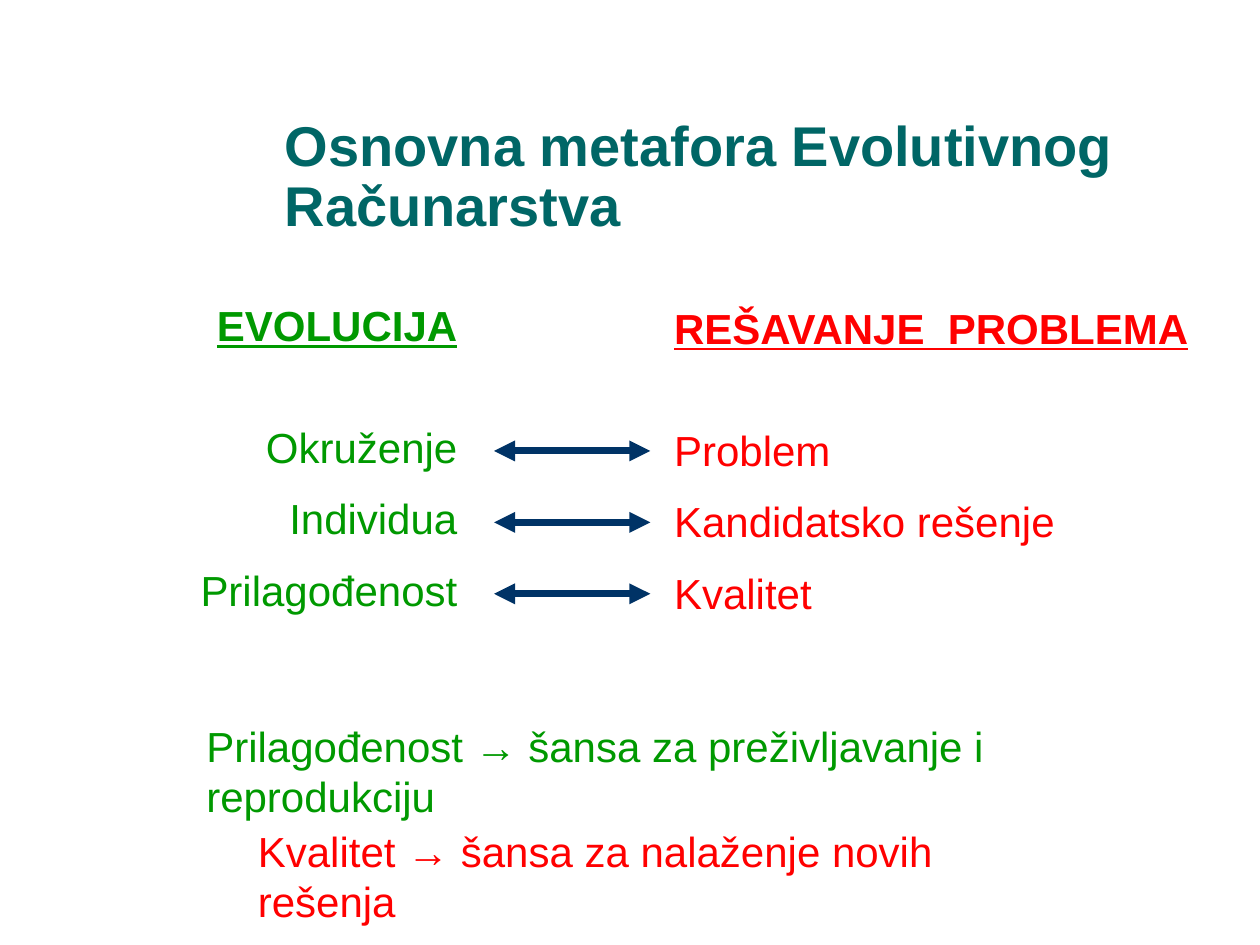
"""Builds the slide that pairs evolution with problem solving."""
from lxml.etree import SubElement
from pptx import Presentation
from pptx.dml.color import RGBColor
from pptx.enum.shapes import MSO_CONNECTOR
from pptx.enum.text import MSO_ANCHOR, PP_ALIGN
from pptx.oxml.ns import qn
from pptx.util import Cm, Pt

TITLE = "Osnovna metafora Evolutivnog Računarstva"
HEADS = ("EVOLUCIJA", "REŠAVANJE  PROBLEMA")
PAIRS = [
    ("Okruženje", "Problem"),
    ("Individua", "Kandidatsko rešenje"),
    ("Prilagođenost", "Kvalitet"),
]
NOTES = [
    ("Kvalitet → šansa za nalaženje novih rešenja", "red", (4.95, 16.51, 16.97, 1.27)),
    ("Prilagođenost → šansa za preživljavanje i reprodukciju", "green", (3.91, 14.4, 20.85, 1.27)),
]
SIDES = [
    ("green", PP_ALIGN.RIGHT, None, (2.74, 5.92, 6.73, 8.15)),
    ("red", PP_ALIGN.LEFT, Pt(29), (13.34, 5.97, 11.43, 8.1)),
]
THEME = {
    "font": "Arial", "title": 32, "body": 24, "line": 4,
    "teal": "006666", "green": "009900", "red": "FF0000", "navy": "003366",
}
ARROWS = {"left": 9.96, "right": 13.11, "top": 9.09, "step": 1.44}
GAP, SPACE = 40.6, 6


def tint(name):
    return RGBColor.from_string(THEME[name])


def add_box(slide, area, anchor=MSO_ANCHOR.TOP):
    frame = slide.shapes.add_textbox(*map(Cm, area)).text_frame
    frame.word_wrap = True
    frame.vertical_anchor = anchor
    return frame


def write(frame, text, color, size="body", bold=False, line=False,
          align=PP_ALIGN.LEFT, pitch=None, before=0, after=0):
    para = frame.paragraphs[0]
    if para.runs:
        para = frame.add_paragraph()
    para.alignment = align
    para.line_spacing = pitch
    para.space_before, para.space_after = Pt(before), Pt(after)
    run = para.add_run()
    run.text = text
    font = run.font
    font.name, font.size = THEME["font"], Pt(THEME[size])
    font.bold, font.underline = bold, line
    font.color.rgb = tint(color)


def add_arrow(slide, top):
    ends = map(Cm, (ARROWS["left"], top, ARROWS["right"], top))
    arrow = slide.shapes.add_connector(MSO_CONNECTOR.STRAIGHT, *ends)
    arrow.line.color.rgb = tint("navy")
    arrow.line.width = Pt(THEME["line"])
    props = arrow.line._get_or_add_ln()
    for tag in ("a:headEnd", "a:tailEnd"):
        SubElement(props, qn(tag), type="triangle")
    SubElement(props.getparent(), qn("a:effectLst"))


def main():
    deck = Presentation()
    deck.slide_width, deck.slide_height = Cm(25.4), Cm(19.05)
    slide = deck.slides.add_slide(deck.slide_layouts[6])
    title = add_box(slide, (5.49, 2.54, 18.64, 2.11), MSO_ANCHOR.MIDDLE)
    write(title, TITLE, "teal", size="title", bold=True, pitch=0.9)
    for head, terms, side in zip(HEADS, zip(*PAIRS), SIDES):
        color, align, pitch, area = side
        frame = add_box(slide, area)
        write(frame, head, color, bold=True, line=True, align=align)
        for row, term in enumerate(terms):
            write(frame, term, color, align=align, pitch=pitch,
                  before=SPACE if row else GAP, after=SPACE)
    for row in range(len(PAIRS)):
        add_arrow(slide, ARROWS["top"] + row * ARROWS["step"])
    for text, color, area in NOTES:
        write(add_box(slide, area), text, color)
    deck.save("out.pptx")


if __name__ == "__main__":
    main()
